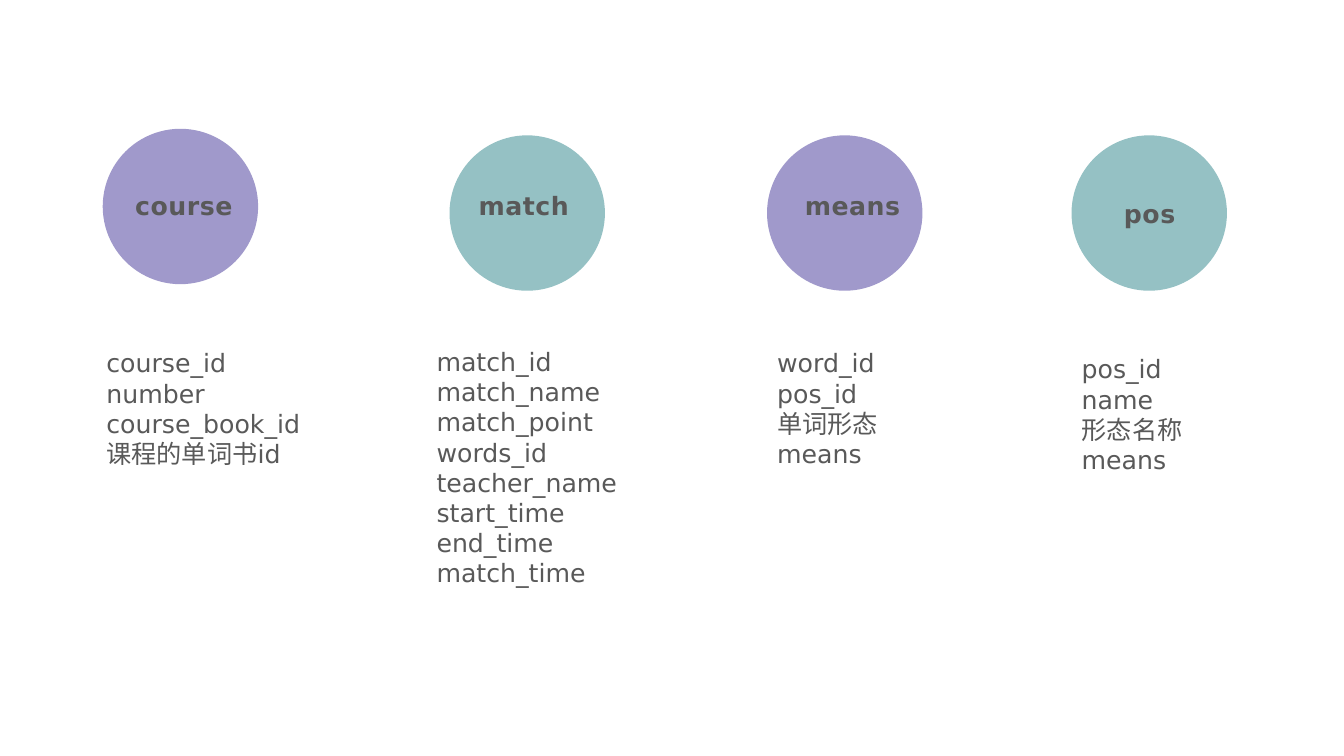
from pptx import Presentation
from pptx.dml.color import RGBColor
from pptx.enum.shapes import MSO_SHAPE
from pptx.enum.text import MSO_ANCHOR, MSO_AUTO_SIZE, PP_ALIGN
from pptx.oxml.ns import qn
from pptx.util import Pt

ELLIPSE = MSO_SHAPE.OVAL
TOP = MSO_ANCHOR.TOP
FIXED = MSO_AUTO_SIZE.NONE
LEFT, CENTER, RIGHT = PP_ALIGN.LEFT, PP_ALIGN.CENTER, PP_ALIGN.RIGHT

COLORS = {"purple": "A099CB", "teal": "95C1C4", "text": "595959"}
FONT = "DejaVu Sans"
DIAMETER = 111
COMPARISON_LAYOUT = 4

ENTITIES = [
    {"name": "course", "color": "purple", "circle": (73.4, 92),
     "label": (61.9, 132.5), "align": CENTER, "list": (68.8, 244.8, 194.4, 94.3),
     "fields": ["course_id", "number", "course_book_id", "课程的单词书id"]},
    {"name": "match", "color": "teal", "circle": (321.1, 96.7),
     "label": (304.6, 132.5), "align": CENTER, "list": (304.6, 243.6, 165.6, 218.2),
     "fields": ["match_id", "match_name", "match_point", "words_id",
                "teacher_name", "start_time", "end_time", "match_time"]},
    {"name": "means", "color": "purple", "circle": (547.9, 96.7),
     "label": (511.2, 132.5), "align": RIGHT, "list": (547.9, 244.8, 125.3, 94.3),
     "fields": ["word_id", "pos_id", "单词形态", "means"]},
    {"name": "pos", "color": "teal", "circle": (765.4, 96.7),
     "label": (751.7, 137.9), "align": CENTER, "list": (765.4, 249.1, 165.6, 94.3),
     "fields": ["pos_id", "name", "形态名称", "means"]},
]


def write_lines(holder, lines, align, bold):
    frame = holder.text_frame
    frame.word_wrap = True
    frame.auto_size = FIXED
    frame.vertical_anchor = TOP
    for index, line in enumerate(lines):
        paragraph = frame.add_paragraph() if index else frame.paragraphs[0]
        paragraph.alignment = align
        paragraph.space_before = Pt(0)
        run = paragraph.add_run()
        run.text = line
        run.font.name = FONT
        run.font.size = Pt(18)
        run.font.bold = bold
        run.font.color.rgb = RGBColor.from_string(COLORS["text"])


def add_entity_circle(slide, entity):
    left, top = entity["circle"]
    circle = slide.shapes.add_shape(ELLIPSE, Pt(left), Pt(top), Pt(DIAMETER), Pt(DIAMETER))
    circle.shadow.inherit = False
    circle.fill.solid()
    circle.fill.fore_color.rgb = RGBColor.from_string(COLORS[entity["color"]])
    circle.line.fill.background()


def add_entity_label(slide, entity):
    left, top = entity["label"]
    label = slide.shapes.add_textbox(Pt(left), Pt(top), Pt(139), Pt(29))
    write_lines(label, [entity["name"]], entity["align"], True)
    for run in label.text_frame.paragraphs[0].runs:
        run.font._element.set("spc", "40")


def fill_field_list(field_list, entity):
    left, top, width, height = entity["list"]
    field_list.left, field_list.top = Pt(left), Pt(top)
    field_list.width, field_list.height = Pt(width), Pt(height)
    write_lines(field_list, entity["fields"], LEFT, False)
    for paragraph in field_list.text_frame.paragraphs:
        properties = paragraph._p.get_or_add_pPr()
        properties.set("marL", "0")
        properties.set("indent", "0")
        properties.append(properties.makeelement(qn("a:buNone"), {}))


def build_entity_slide(deck):
    slide = deck.slides.add_slide(deck.slide_layouts[COMPARISON_LAYOUT])
    title = slide.shapes.title
    title.element.getparent().remove(title.element)
    for field_list, entity in zip(list(slide.placeholders), ENTITIES):
        add_entity_circle(slide, entity)
        add_entity_label(slide, entity)
        fill_field_list(field_list, entity)


def main():
    deck = Presentation()
    deck.slide_width, deck.slide_height = Pt(960), Pt(540)
    build_entity_slide(deck)
    deck.save("out.pptx")


if __name__ == "__main__":
    main()
